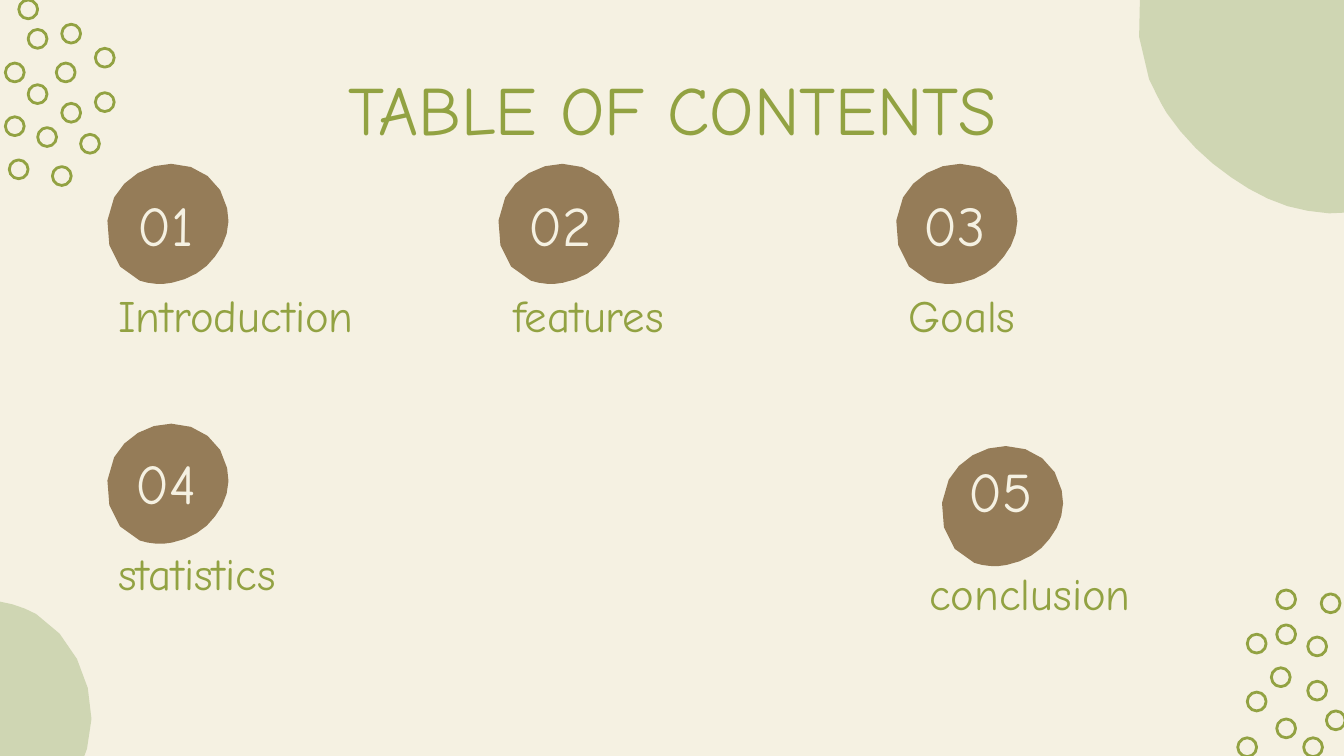
from typing import NamedTuple

from pptx import Presentation
from pptx import util as u
from pptx.dml.color import RGBColor
from pptx.enum import shapes, text

COLORS = {"cream": "F5F1E2", "sage": "CFD6B3", "olive": "92A242", "brown": "957C58"}
FONT = "Comic Neue"
RING = 10.1
INSET = 7.2


class Point(NamedTuple):
    x: float
    y: float


class Entry(NamedTuple):
    number: str
    label: str
    badge: Point
    number_at: Point
    label_at: Point
    indent: float = 0


# Each outline is a start point followed by Bezier triples (control, control, end).
CORNER_TOP = [
    (766.1, 12.2),
    (762.5, 7.2), (758.2, 2.2), (751.7, -0.7),
    (734.4, -10.1), (712.1, -4.3), (695.5, -14.4),
    (684, -20.9), (678.2, -33.8), (666.7, -40.3),
    (658.1, -46.1), (647.3, -46.8), (637.9, -43.9),
    (605.5, -31.7), (605.5, 16.6), (615.6, 42.5),
    (618.5, 48.2), (621.4, 54.7), (625, 60.5),
    (634.3, 74.2), (645.8, 85.7), (659.5, 95),
    (671.8, 103.7), (686.2, 110.9), (700.6, 113),
    (715.7, 115.9), (731.5, 114.5), (744.5, 106.6),
    (763.9, 95.8), (774, 73.4), (775.4, 51.1),
    (776.2, 37.4), (773.3, 23), (766.1, 12.2),
]
CORNER_BOTTOM = [
    (-7.2, 321.8),
    (-20.2, 321.8), (-32.4, 326.2), (-41, 335.5),
    (-49.7, 343.4), (-54.7, 355), (-57.6, 365.8),
    (-59, 375.1), (-60.5, 383.8), (-64.8, 391.7),
    (-68.4, 397.4), (-73.4, 402.5), (-74.9, 408.2),
    (-77.8, 424.8), (-61.9, 439.2), (-49.7, 447.1),
    (-38.9, 453.6), (-25.9, 458.6), (-13.7, 458.6),
    (-10.1, 458.6), (-6.5, 458.6), (-3.6, 457.9),
    (5.8, 455), (14.4, 449.3), (21.6, 442.8),
    (37.4, 427.7), (48.2, 406.8), (49, 385.2),
    (49, 362.9), (38.2, 340.6), (19.4, 329),
    (11.5, 324.7), (2.2, 321.8), (-7.2, 321.8),
]
BADGE = [
    (38.5, 0),
    (25.9, 0), (13.7, 7.2), (7.9, 18),
    (0, 33.1), (4.3, 56.2), (21.6, 62.6),
    (27, 64.4), (33.2, 64.9), (38.9, 63.7),
    (48.2, 61.9), (56.9, 56.9), (61.9, 49.7),
    (67.7, 42.5), (70.6, 33.1), (68.4, 23.8),
    (65.7, 9.5), (53.2, 0), (38.5, 0),
]
RINGS_TOP = [
    (15.1, 45.4), (15.1, 15.8), (30.2, 33.8), (33.1, 13), (33.1, 55.4),
    (51.1, 25.9), (51.1, 49.7), (20.2, 68.4), (2.9, 62.6), (43.2, 72),
    (2.9, 33.8), (10.1, 0), (5, 85.7), (28.1, 89.3),
]
RINGS_BOTTOM = [
    (681.1, 357.8), (684, 334.8), (700.6, 341.3), (707.8, 318.2),
    (700.6, 365), (684, 385.2), (668.2, 370.8), (710.6, 380.9),
    (668.2, 339.8), (684, 316.1), (663.1, 395.3), (698.4, 395.3),
]
ENTRIES = [
    Entry("01", "Introduction", Point(53.3, 87.8), Point(61.2, 96.5), Point(56.2, 154.8)),
    Entry("02", "features", Point(262.8, 87.8), Point(272.2, 96.5), Point(267.8, 154.8)),
    Entry("03", "Goals", Point(475.9, 87.8), Point(483.8, 96.5), Point(479.5, 154.8)),
    Entry("04", "statistics", Point(53.3, 227), Point(61.2, 234.7), Point(56.2, 293)),
    Entry("05", "conclusion", Point(500.4, 239), Point(508.3, 239), Point(443.5, 303.8), 47),
]


def rgb(name: str) -> RGBColor:
    return RGBColor.from_string(COLORS[name])


def flatten(outline: list, steps: int = 4) -> list[Point]:
    """Turn a start point and its Bezier triples into points along the curve."""
    points = [Point(*outline[0])]
    for i in range(0, len(outline) - 1, 3):
        curve = outline[i:i + 4]
        for n in range(1, steps + 1):
            t = n / steps
            weights = ((1 - t) ** 3, 3 * t * (1 - t) ** 2, 3 * t * t * (1 - t), t ** 3)
            points.append(Point(*(sum(w * c[axis] for w, c in zip(weights, curve))
                                  for axis in (0, 1))))
    return points


def add_blob(s, outline: list, color: str, at: Point = Point(0, 0)) -> None:
    points = [(u.Pt(at.x + p.x), u.Pt(at.y + p.y)) for p in flatten(outline)]
    builder = s.shapes.build_freeform(*points[0])
    builder.add_line_segments(points[1:-1], close=True)
    sp = builder.convert_to_shape()
    sp.shadow.inherit = False
    sp.fill.solid()
    sp.fill.fore_color.rgb = rgb(color)
    sp.line.fill.background()


def add_rings(s, corners: list) -> None:
    group = s.shapes.add_group_shape()
    for x, y in corners:
        sp = group.shapes.add_shape(shapes.MSO_SHAPE.OVAL, u.Pt(x), u.Pt(y),
                                    u.Pt(RING), u.Pt(RING))
        sp.shadow.inherit = False
        sp.fill.background()
        sp.line.color.rgb = rgb("olive")
        sp.line.width = u.Pt(1.5)


def add_text(s, content: str, at: Point, width: float, height: float, *, size: float,
             color: str = "olive", align=text.PP_ALIGN.CENTER,
             anchor=text.MSO_ANCHOR.MIDDLE, indent: float = 0) -> None:
    tf = s.shapes.add_textbox(u.Pt(at.x), u.Pt(at.y), u.Pt(width), u.Pt(height)).text_frame
    tf.word_wrap = True
    tf.vertical_anchor = anchor
    tf.margin_left = u.Pt(INSET + indent)
    tf.margin_top = tf.margin_right = tf.margin_bottom = u.Pt(INSET)
    p = tf.paragraphs[0]
    p.alignment = align
    r = p.add_run()
    r.text = content
    r.font.name = FONT
    r.font.size = u.Pt(size)
    r.font.color.rgb = rgb(color)


def main() -> None:
    prs = Presentation()
    prs.slide_width, prs.slide_height = u.Pt(720), u.Pt(405)
    s = prs.slides.add_slide(prs.slide_layouts[6])
    s.background.fill.solid()
    s.background.fill.fore_color.rgb = rgb("cream")

    add_blob(s, CORNER_TOP, "sage")
    add_blob(s, CORNER_BOTTOM, "sage")
    add_rings(s, RINGS_TOP)
    add_rings(s, RINGS_BOTTOM)

    add_text(s, "TABLE OF CONTENTS", Point(56.9, 35.3), 607, 45.4, size=37)
    for e in ENTRIES:
        add_blob(s, BADGE, "brown", e.badge)
        add_text(s, e.number, e.number_at, 55.4, 46.8, size=30, color="cream")
        add_text(s, e.label, e.label_at, 184.3, 35.3, size=24, indent=e.indent,
                 align=text.PP_ALIGN.LEFT, anchor=text.MSO_ANCHOR.BOTTOM)

    prs.save("out.pptx")


if __name__ == "__main__":
    main()
